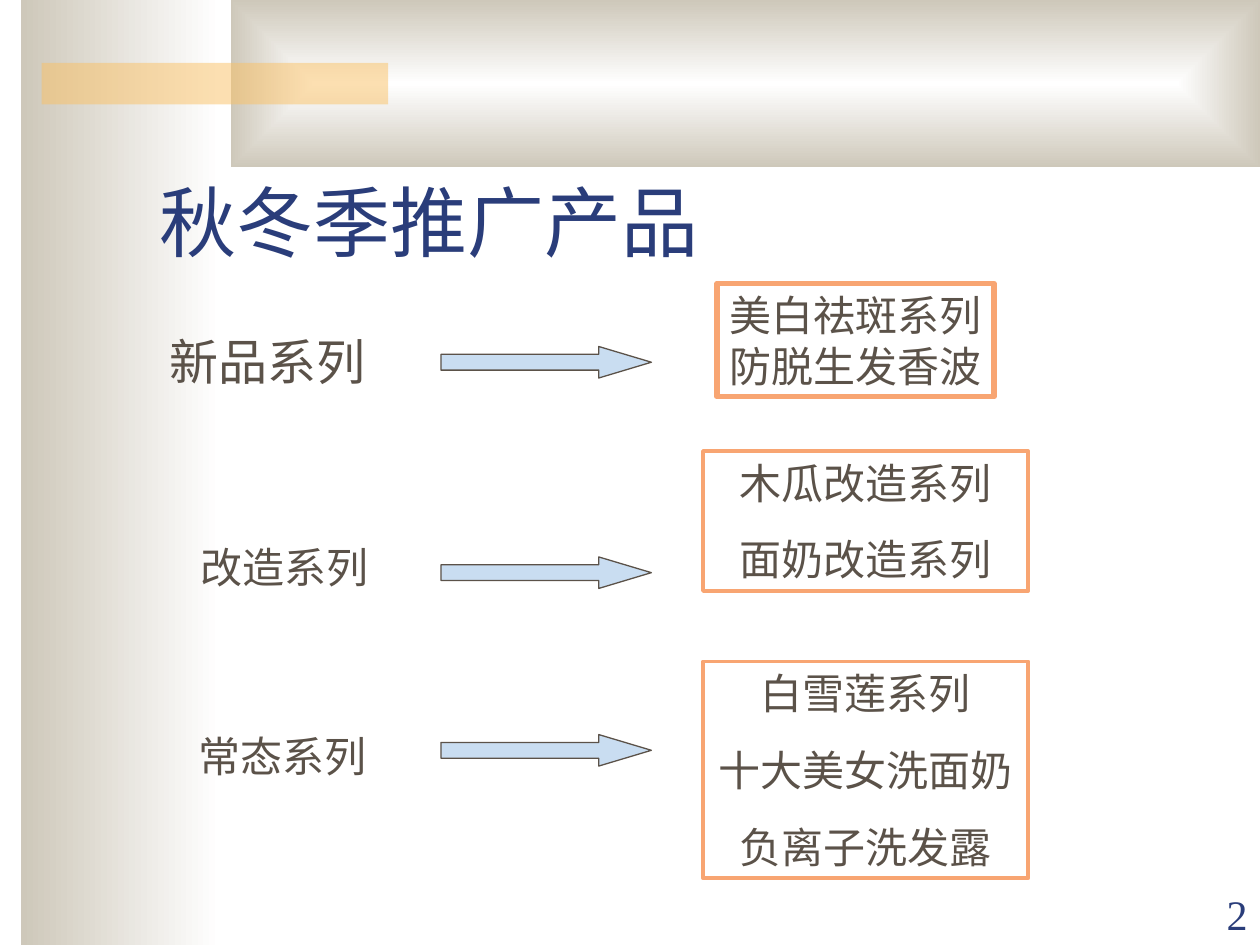
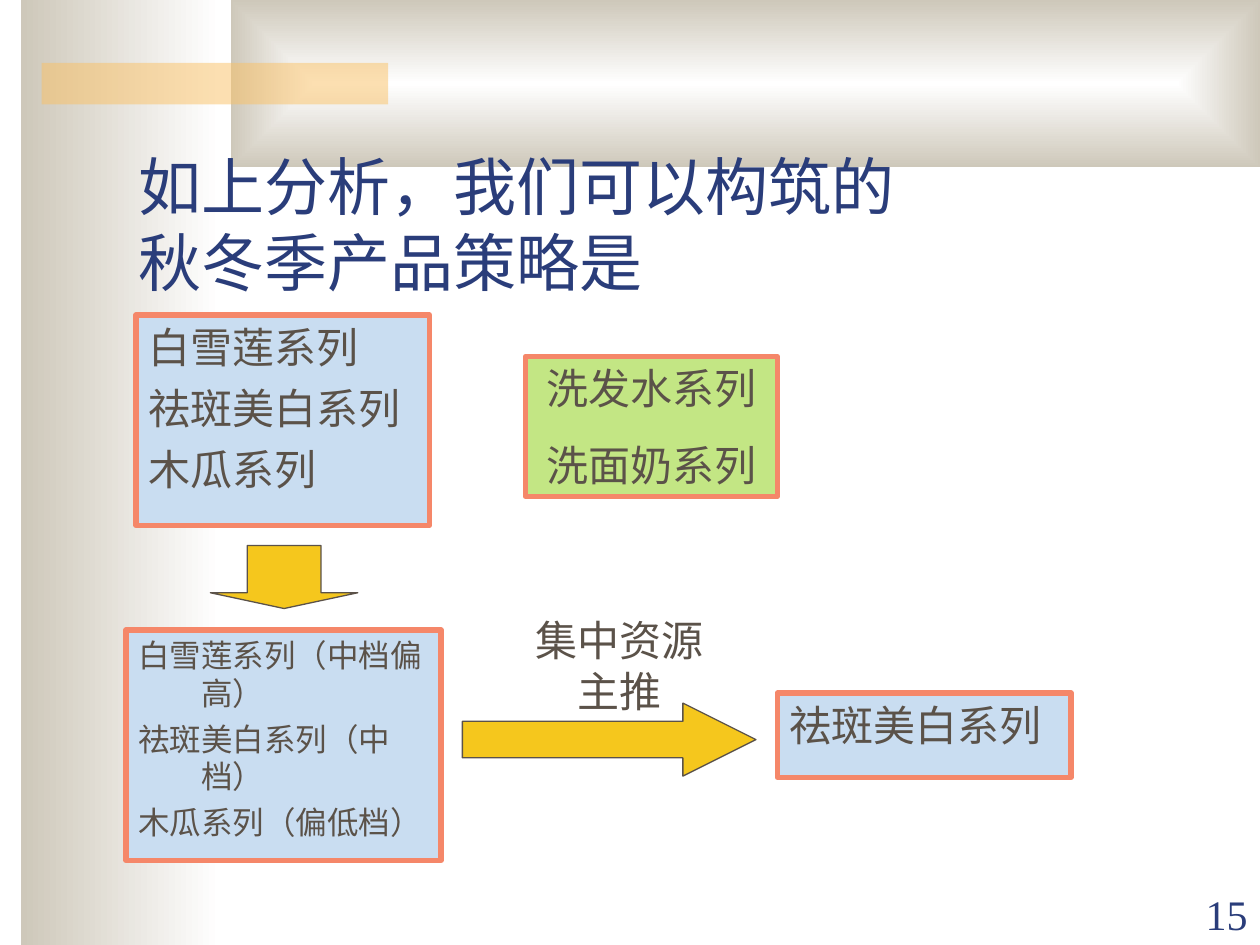
from dataclasses import dataclass

import pptx
import pptx.dml.color
import pptx.enum.shapes
import pptx.enum.text
import pptx.oxml
import pptx.oxml.ns
import pptx.util
from lxml import etree
from pptx.util import Inches

SHAPES = pptx.enum.shapes.MSO_SHAPE
ALIGN = pptx.enum.text.PP_ALIGN
ANCHOR = pptx.enum.text.MSO_ANCHOR


@dataclass(frozen=True)
class Theme:
    navy: str = "2A3D7A"
    brown: str = "5B5249"
    white: str = "FFFFFF"
    sand: str = "CEC8BA"
    amber: str = "FAC164"
    orange: str = "F8A572"
    coral: str = "F58769"
    blue: str = "C9DDF1"
    green: str = "C3E684"
    yellow: str = "F5C71D"
    font: str = "Times New Roman"
    title_font: str = "Noto Sans CJK SC"
    big_title: int = 44
    title: int = 36
    lead: int = 28
    body: int = 24
    small: int = 18


THEME = Theme()


def rgb(color):
    return pptx.dml.color.RGBColor.from_string(color)


def qualified(tag):
    return pptx.oxml.ns.qn(tag)


def add_shape(page, kind, place, fill=None, line=None, width=0.75):
    shape = page.shapes.add_shape(kind, *map(Inches, place))
    shape.shadow.inherit = False
    if fill:
        shape.fill.solid()
        shape.fill.fore_color.rgb = rgb(fill)
    else:
        shape.fill.background()
    if line:
        shape.line.color.rgb = rgb(line)
        shape.line.width = pptx.util.Pt(width)
    else:
        shape.line.fill.background()
    return shape


def write(shape, lines, size=THEME.body, color=THEME.brown, font=THEME.font,
          align=ALIGN.LEFT, anchor=ANCHOR.TOP, gap=0, hanging=0, wrap=True):
    """Fill a shape with paragraphs; gap is the space between them in points."""
    frame = shape.text_frame
    frame.word_wrap = wrap
    frame.vertical_anchor = anchor
    for index, line in enumerate(lines):
        para = frame.add_paragraph() if index else frame.paragraphs[0]
        para.text = line
        para.alignment = align
        if index:
            para.space_before = pptx.util.Pt(gap)
        if hanging:
            properties = para._p.get_or_add_pPr()
            properties.set("marL", str(Inches(hanging)))
            properties.set("indent", str(-Inches(hanging)))
        para.font.name = font
        para.font.size = pptx.util.Pt(size)
        para.font.color.rgb = rgb(color)


def add_label(page, place, lines, **style):
    write(page.shapes.add_textbox(*map(Inches, place)), lines, **style)


def add_box(page, place, lines, line, fill=None, width=3, **style):
    write(add_shape(page, SHAPES.RECTANGLE, place, fill, line, width),
          lines, **style)


def add_arrow(page, kind, place, fill, head):
    """Draw a block arrow; head is its head length over its short side."""
    arrow = add_shape(page, kind, place, fill, THEME.brown)
    arrow.adjustments[0] = 0.5
    arrow.adjustments[1] = head


def add_gradient_band(page, place, from_center=False):
    """Shade from white to sand, leftwards or outwards from the center."""
    band = add_shape(page, SHAPES.RECTANGLE, place)
    band.fill.gradient()
    band.fill.gradient_angle = 180
    for stop, color in zip(band.fill.gradient_stops, (THEME.white, THEME.sand)):
        stop.color.rgb = rgb(color)
    if from_center:
        gradient = band._element.spPr.find(qualified("a:gradFill"))
        gradient.remove(gradient.find(qualified("a:lin")))
        route = etree.SubElement(gradient, qualified("a:path"), path="rect")
        etree.SubElement(route, qualified("a:fillToRect"),
                         dict.fromkeys("ltrb", "50000"))


def add_page(deck, number, title, title_place, size, font):
    """Start a page with the shared bands, its title and its number."""
    page = deck.slides.add_slide(deck.slide_layouts[6])
    add_gradient_band(page, (0.17, 0, 1.58, 7.5))
    add_gradient_band(page, (1.83, 0, 8.17, 1.33), from_center=True)
    accent = add_shape(page, SHAPES.RECTANGLE, (0.33, 0.5, 2.75, 0.33), THEME.amber)
    color = accent._element.spPr.find(".//" + qualified("a:srgbClr"))
    etree.SubElement(color, qualified("a:alpha"), val="50000")
    add_label(page, title_place, [title], size=size, color=THEME.navy,
              font=font, anchor=ANCHOR.BOTTOM)
    add_label(page, (9, 7, 1, 0.5), [str(number)], color=THEME.navy,
              align=ALIGN.RIGHT, anchor=ANCHOR.BOTTOM)
    return page


def add_products_page(deck):
    page = add_page(deck, 2, "秋冬季推广产品", (1.17, 0.92, 8.5, 1.25),
                    THEME.big_title, THEME.font)
    for top in (2.75, 4.42, 5.83):
        add_arrow(page, SHAPES.RIGHT_ARROW, (3.5, top, 1.67, 0.25), THEME.blue, 1.67)

    add_label(page, (1.25, 2.58, 2.33, 0.75), ["新品系列"],
              size=THEME.lead, hanging=0.5)
    add_label(page, (1.42, 4.25, 1.67, 0.5), ["改造系列"], align=ALIGN.CENTER)
    add_label(page, (1.33, 5.75, 1.83, 0.5), ["常态系列"], align=ALIGN.CENTER)

    add_box(page, (5.69, 2.25, 2.2, 0.9), ["美白祛斑系列", "防脱生发香波"],
            THEME.orange, align=ALIGN.CENTER, wrap=False)
    series = ((3.58, 1.11, ["木瓜改造系列", "面奶改造系列"]),
              (5.25, 1.72, ["白雪莲系列", "十大美女洗面奶", "负离子洗发露"]))
    for top, height, products in series:
        add_box(page, (5.58, top, 2.58, height), products, THEME.orange,
                width=2.25, align=ALIGN.CENTER, gap=15)


def add_strategy_page(deck):
    page = add_page(deck, 15, "如上分析，我们可以构筑的\n秋冬季产品策略是",
                    (1, 1, 8.5, 1.42), THEME.title, THEME.title_font)
    add_box(page, (1.08, 2.5, 2.33, 1.67), ["白雪莲系列", "祛斑美白系列", "木瓜系列"],
            THEME.coral, THEME.blue, gap=6, hanging=0.5)
    add_arrow(page, SHAPES.DOWN_ARROW, (1.67, 4.33, 1.17, 0.5), THEME.yellow, 0.25)
    add_box(page, (1, 5, 2.5, 1.83),
            ["白雪莲系列（中档偏高）", "祛斑美白系列（中档）", "木瓜系列（偏低档）"],
            THEME.coral, THEME.blue, size=THEME.small, gap=4.5, hanging=0.5)
    add_box(page, (6.17, 5.5, 2.33, 0.67), ["祛斑美白系列"],
            THEME.coral, THEME.blue, hanging=0.5)
    add_arrow(page, SHAPES.RIGHT_ARROW, (3.67, 5.58, 2.33, 0.58), THEME.yellow, 1)
    add_label(page, (4.08, 4.83, 1.67, 0.9), ["集中资源主推"], align=ALIGN.CENTER)
    add_box(page, (4.17, 2.83, 2, 1.11), ["洗发水系列", "洗面奶系列"],
            THEME.coral, THEME.green, align=ALIGN.CENTER, gap=15)


def main():
    deck = pptx.Presentation()
    deck.slide_width, deck.slide_height = Inches(10), Inches(7.5)
    add_products_page(deck)
    add_strategy_page(deck)
    deck.save("out.pptx")


if __name__ == "__main__":
    main()
